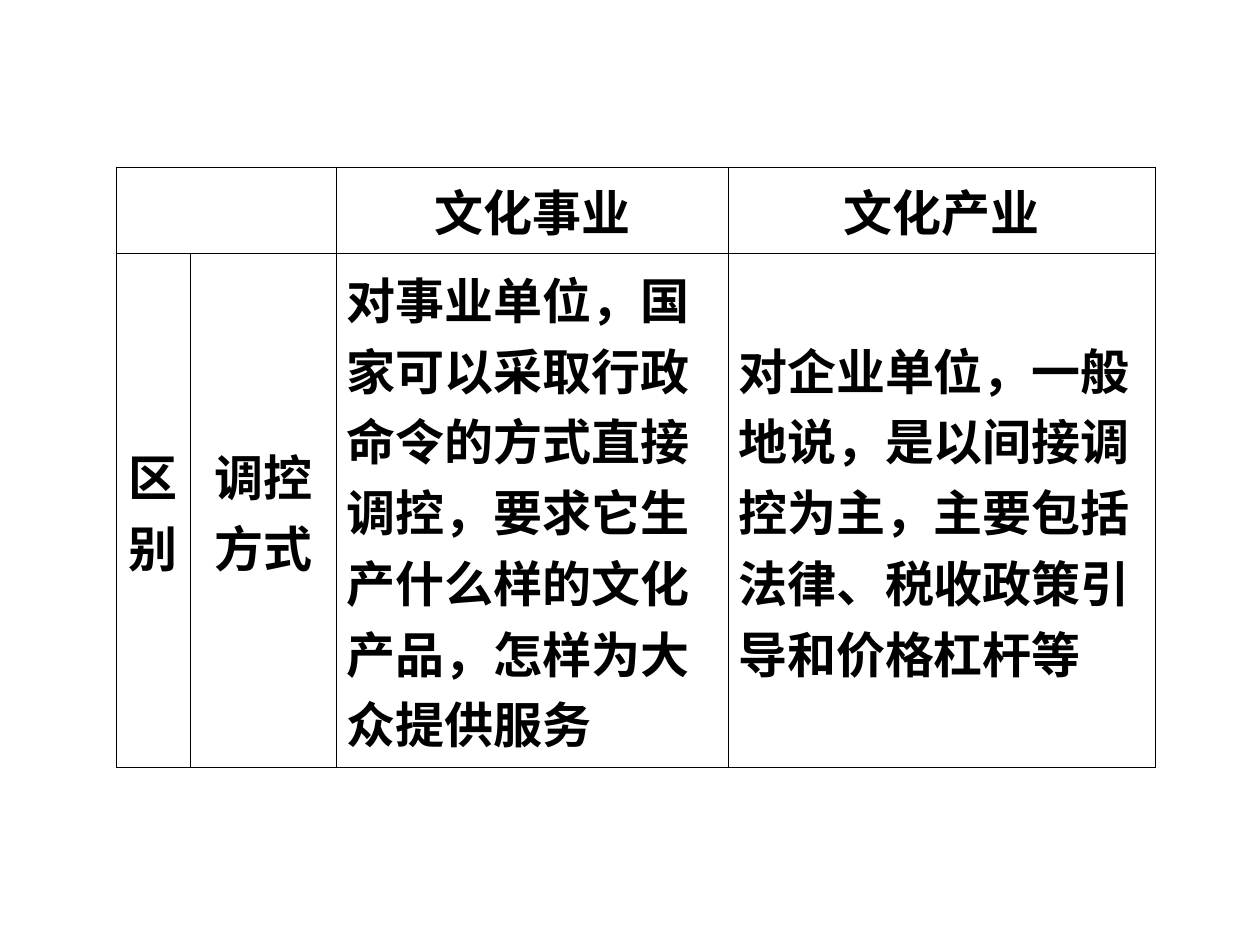
"""Build a slide whose table compares how cultural undertakings and industries are regulated."""
from lxml import etree
from pptx import Presentation
from pptx.dml.color import RGBColor
from pptx.enum.text import MSO_ANCHOR, PP_ALIGN
from pptx.oxml.ns import qn
from pptx.util import Inches, Pt

CENTER, LEFT = PP_ALIGN.CENTER, PP_ALIGN.LEFT
MIDDLE = MSO_ANCHOR.MIDDLE
BLACK = RGBColor(0, 0, 0)
WHITE = RGBColor(255, 255, 255)
FONT = "Times New Roman"
BORDER = Pt(0.45)
COLUMNS = [0.59, 1.16, 3.11, 3.39]
ROWS = [0.68, 4.08]
COMPARISON = [
    ["", "", "文化事业", "文化产业"],
    [
        "区别",
        "调控方式",
        "对事业单位，国家可以采取行政命令的方式直接调控，要求它生产什么样的文化产品，怎样为大众提供服务",
        "对企业单位，一般地说，是以间接调控为主，主要包括法律、税收政策引导和价格杠杆等",
    ],
]


def add_borders(cell):
    properties = cell._tc.get_or_add_tcPr()
    for side in ("a:lnL", "a:lnR", "a:lnT", "a:lnB"):
        edge = etree.SubElement(properties, qn(side), w=str(BORDER))
        paint = etree.SubElement(edge, qn("a:solidFill"))
        etree.SubElement(paint, qn("a:srgbClr"), val=str(BLACK))


presentation = Presentation()
presentation.slide_width = Inches(10)
presentation.slide_height = Inches(7.5)
slide = presentation.slides.add_slide(presentation.slide_layouts[6])

table = slide.shapes.add_table(
    len(ROWS), len(COLUMNS), Inches(0.92), Inches(1.33),
    Inches(sum(COLUMNS)), Inches(sum(ROWS)),
).table
table.first_row = False
table.horz_banding = False
for column, width in zip(table.columns, COLUMNS):
    column.width = Inches(width)
for row, height in zip(table.rows, ROWS):
    row.height = Inches(height)
table.cell(0, 0).merge(table.cell(0, 1))

for row_index, entries in enumerate(COMPARISON):
    for column_index, entry in enumerate(entries):
        cell = table.cell(row_index, column_index)
        add_borders(cell)
        cell.fill.solid()
        cell.fill.fore_color.rgb = WHITE
        cell.vertical_anchor = MIDDLE
        cell.margin_left = cell.margin_right = Inches(0.08)
        cell.margin_top = cell.margin_bottom = Inches(0.05)
        if entry:
            paragraph = cell.text_frame.paragraphs[0]
            is_description = row_index == 1 and column_index >= 2
            paragraph.alignment = LEFT if is_description else CENTER
            run = paragraph.add_run()
            run.text = entry
            run.font.name = FONT
            run.font.size = Pt(28)
            run.font.bold = True
            run.font.color.rgb = BLACK

presentation.save("out.pptx")
